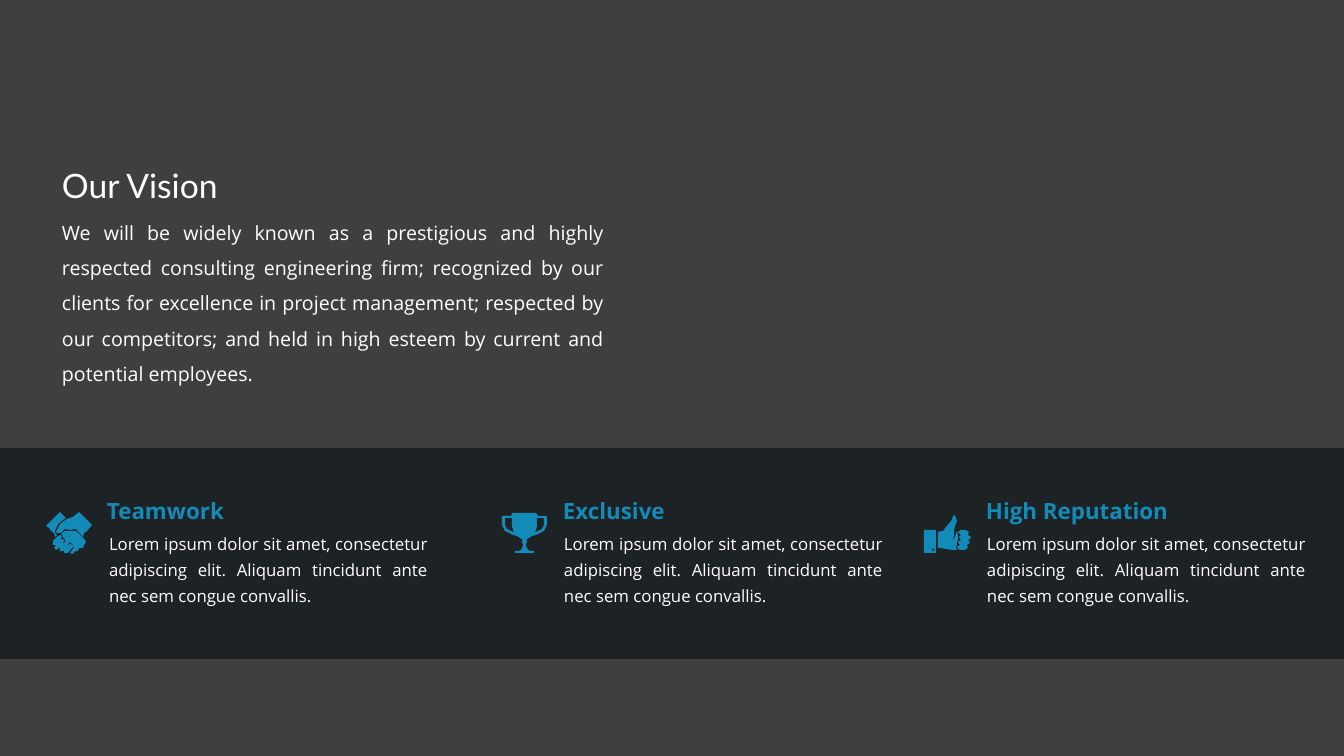
from pptx import Presentation
from pptx.dml.color import RGBColor
from pptx.enum.shapes import MSO_SHAPE as SHAPE
from pptx.enum.text import MSO_ANCHOR as ANCHOR, MSO_AUTO_SIZE as FIT, PP_ALIGN as ALIGN
from pptx.oxml import parse_xml
from pptx.oxml.ns import nsdecls
from pptx.util import Pt

PX = 914400 / 100.8
ACCENT, WHITE = "138BB9", "FFFFFF"


def paint(color_holder, color):
    color_holder.solid()
    color_holder.fore_color.rgb = RGBColor.from_string(color)


def write(box, place, text, size, font="Open Sans", color=WHITE, bold=False,
          align=ALIGN.LEFT, spacing=1.0, anchor=ANCHOR.TOP, inset=(10, 5)):
    box.left, box.top, box.width, box.height = [round(v * PX) for v in place]
    frame = box.text_frame
    frame.word_wrap = True
    frame.auto_size = FIT.NONE
    frame.vertical_anchor = anchor
    frame.margin_left = frame.margin_right = round(inset[0] * PX)
    frame.margin_top = frame.margin_bottom = round(inset[1] * PX)
    paragraph = frame.paragraphs[0]
    paragraph.text = text
    paragraph.alignment = align
    paragraph.line_spacing = spacing
    paragraph.font.name, paragraph.font.size = font, Pt(size)
    paragraph.font.bold = bold
    paint(paragraph.font.fill, color)


deck = Presentation()
deck.slide_width, deck.slide_height = round(1344 * PX), round(756 * PX)
slide = deck.slides.add_slide(deck.slide_layouts[5])
shapes = slide.shapes
paint(slide.background.fill, "3F3F3F")

write(shapes.title, (52, 160, 436, 50), "Our Vision", 24, font="Lato")
vision = ("We will be widely known as a prestigious and highly respected consulting "
          "engineering firm; recognized by our clients for excellence in project "
          "management; respected by our competitors; and held in high esteem by "
          "current and potential employees.")
write(shapes.add_textbox(0, 0, 0, 0), (52, 204, 562, 167), vision, 14,
      align=ALIGN.JUSTIFY, spacing=1.5)

band = shapes.add_shape(SHAPE.RECTANGLE, 0, round(448 * PX), deck.slide_width, round(211 * PX))
band.shadow.inherit = False
band.line.fill.background()
paint(band.fill, "181E20")
band_color = band._element.spPr.find(".//{*}srgbClr")
band_color.append(parse_xml(f'<a:alpha {nsdecls("a")} val="85000"/>'))

handshake = [
    [(6, 20), (3, 16), (0, 14), (14, 0), (20, 6), (17, 8), (12, 12), (9, 19), (9, 21),
     (11, 23), (9, 25), (8, 21)],
    [(30, 19), (19, 19), (15, 22), (17, 24), (17, 26), (19, 27), (19, 29), (23, 30),
     (24, 31), (27, 32), (28, 35), (27, 37), (24, 41), (27, 42), (29, 39), (32, 39),
     (33, 36), (37, 36), (38, 33), (40, 30), (39, 28)],
    [(27, 33), (24, 32), (22, 34), (23, 31), (21, 29), (19, 30), (17, 32), (18, 28),
     (16, 27), (14, 28), (16, 25), (15, 23), (12, 24), (7, 29), (7, 33), (10, 33),
     (8, 36), (10, 38), (13, 36), (14, 35), (14, 39), (17, 39), (18, 38), (18, 41),
     (22, 41), (26, 36), (28, 34)],
    [(33, 0), (27, 5), (21, 7), (14, 12), (10, 20), (11, 21), (15, 21), (19, 17),
     (24, 18), (30, 17), (37, 25), (38, 21), (41, 19), (46, 13)],
]
cup_half = [(22, 0), (11, 0), (10, 1), (9, 3), (0, 3), (0, 12), (3, 18), (11, 22), (15, 23),
            (21, 27), (20, 28), (20, 30), (21, 30), (21, 33), (19, 37), (16, 38),
            (13, 38), (13, 40), (22, 40)]
handle_gap = [(11, 19), (5, 16), (3, 12), (3, 5), (10, 5), (10, 13), (12, 20)]
trophy = [
    cup_half + [(45 - x, y) for x, y in reversed(cup_half)],
    handle_gap,
    [(45 - x, y) for x, y in handle_gap],
]
thumb = [
    [(32, 33), (33, 35), (29, 35), (22, 34), (17, 33), (14, 33), (14, 17), (19, 16),
     (23, 11), (28, 5), (29, 1), (31, 0), (33, 6), (30, 15), (30, 21), (28, 26),
     (31, 22), (33, 16), (34, 20), (34, 25), (33, 27), (33, 29)],
    [(37, 15), (42, 15), (45, 17), (44, 20), (47, 22), (46, 24), (44, 25), (46, 27),
     (45, 29), (43, 30), (44, 33), (41, 35), (36, 35), (33, 33), (34, 31), (36, 30),
     (34, 27), (37, 25), (35, 22), (37, 20), (34, 17)],
    [(0, 15), (12, 15), (12, 38), (0, 38)],
    [(8, 35), (9, 36), (11, 35), (9, 33)],
]

lorem = ("Lorem ipsum dolor sit amet, consectetur adipiscing elit. "
         "Aliquam tincidunt ante nec sem congue convallis.")
values = [
    ("Teamwork", 94, 96, handshake, 46, 512),
    ("Exclusive", 550, 551, trophy, 502, 513),
    ("High Reputation", 973, 974, thumb, 924, 515),
]
for name, name_left, detail_left, outlines, icon_left, icon_top in values:
    write(shapes.add_textbox(0, 0, 0, 0), (name_left, 497, 269, 27), name, 16,
          color=ACCENT, bold=True, anchor=ANCHOR.MIDDLE, inset=(13, 0))
    write(shapes.add_textbox(0, 0, 0, 0), (detail_left, 520, 345, 93), lorem, 12,
          align=ALIGN.JUSTIFY, spacing=1.3, anchor=ANCHOR.MIDDLE, inset=(13, 7))
    pen = shapes.build_freeform(*outlines[0][0], scale=PX)
    pen.add_line_segments(outlines[0][1:])
    for outline in outlines[1:]:
        pen.move_to(*outline[0])
        pen.add_line_segments(outline[1:])
    icon = pen.convert_to_shape(round(icon_left * PX), round(icon_top * PX))
    icon.shadow.inherit = False
    icon.line.fill.background()
    paint(icon.fill, ACCENT)

deck.save("out.pptx")
